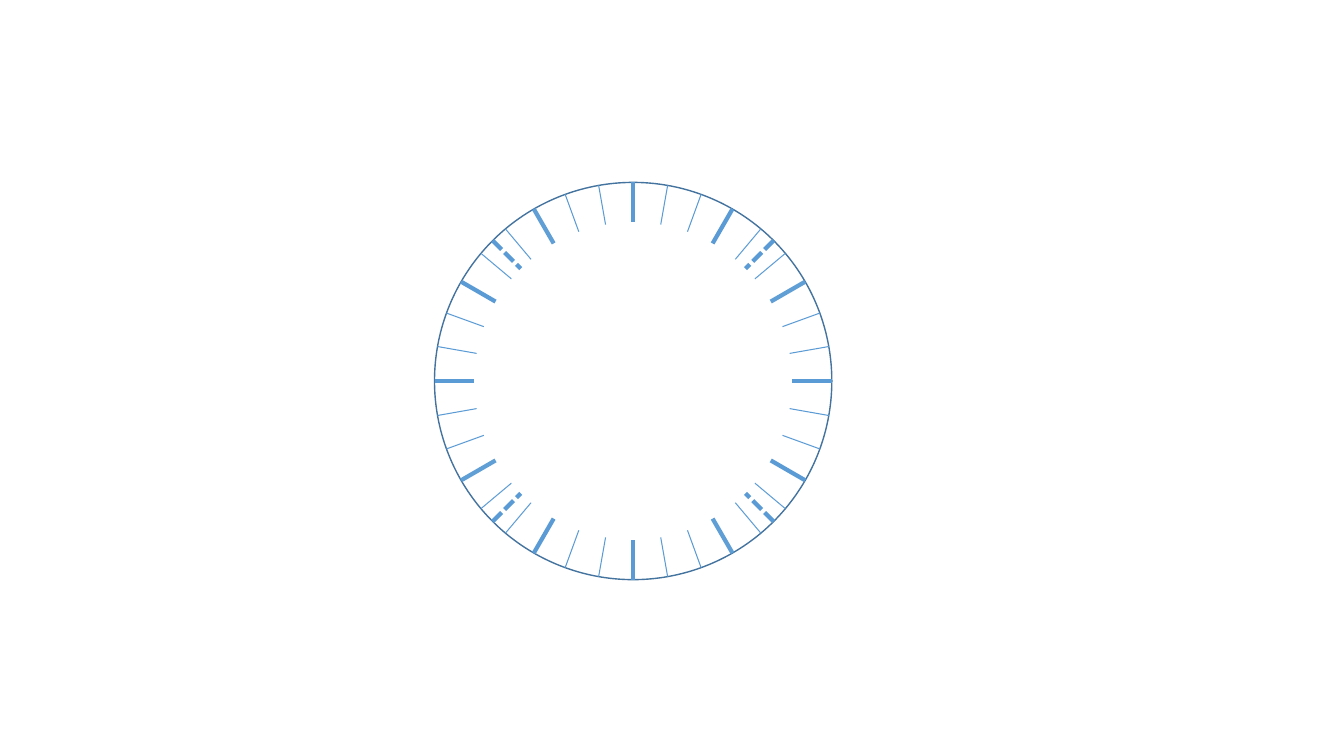
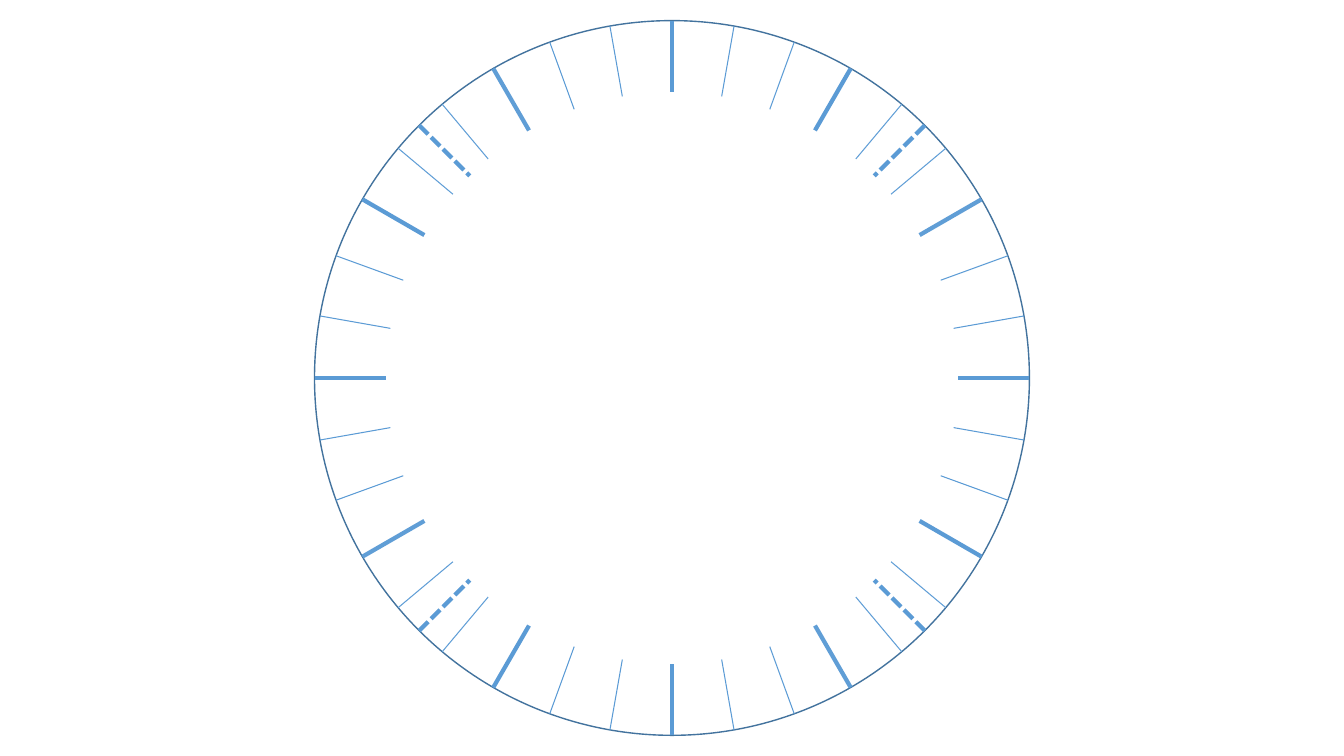
"""Two slides, each with a dial whose rim carries ticks every ten degrees."""
import math
from dataclasses import dataclass

from lxml import etree
from pptx import Presentation
from pptx import util as u
from pptx.dml.color import RGBColor
from pptx.enum import dml, shapes
from pptx.oxml import ns

SLIDE_WIDTH, SLIDE_HEIGHT = u.Inches(13.33), u.Inches(7.5)
RIM_COLOR = RGBColor(0x43, 0x73, 0x9E)
TICK_COLOR = RGBColor(0x5B, 0x9B, 0xD5)
RIM_WIDTH, THIN, THICK = 1, 0.75, 3
INNER_SHARE = 0.8
QUADRANT_ANGLES = (*range(0, 90, 10), 45)
SOFT_ANGLES = (40, 50, 60)
SOFT_OPACITY = 97


@dataclass(frozen=True)
class Dial:
    """Centre in percent of the slide's size, radius in percent of its height."""
    center_x: float
    center_y: float
    radius: float


@dataclass(frozen=True)
class Tick:
    """Clockwise angle from the top, and the look of one tick."""
    angle: int
    width: float
    dashed: bool = False
    soft: bool = False


DIALS = (Dial(47.11, 50.4, 26.27), Dial(50, 50, 47.27))
TICKS = tuple(
    Tick(quadrant + angle,
         THICK if angle % 30 == 0 or angle == 45 else THIN,
         dashed=angle == 45,
         soft=angle in SOFT_ANGLES)
    for quadrant in range(0, 360, 90)
    for angle in QUADRANT_ANGLES
)


def add_tick(group, tick: Tick, x: float, y: float, radius: float) -> None:
    """Draw one tick from the rim towards the centre."""
    angle = math.radians(tick.angle)
    across, up = radius * math.sin(angle), radius * math.cos(angle)
    connector = group.shapes.add_connector(
        shapes.MSO_CONNECTOR.STRAIGHT,
        round(x + across), round(y - up),
        round(x + INNER_SHARE * across), round(y - INNER_SHARE * up))
    line = connector.line
    line.color.rgb = TICK_COLOR
    line.width = u.Pt(tick.width)
    if tick.dashed:
        line.dash_style = dml.MSO_LINE.SQUARE_DOT
    properties = connector.element.spPr
    if tick.soft:
        color = properties.find(".//" + ns.qn("a:srgbClr"))
        etree.SubElement(color, ns.qn("a:alpha"), val=str(SOFT_OPACITY * 1000))
    etree.SubElement(properties, ns.qn("a:effectLst"))


def add_dial(slide, dial: Dial) -> None:
    """Draw the rim and all ticks as one group."""
    x = SLIDE_WIDTH * dial.center_x / 100
    y = SLIDE_HEIGHT * dial.center_y / 100
    radius = SLIDE_HEIGHT * dial.radius / 100
    group = slide.shapes.add_group_shape()
    rim = group.shapes.add_shape(
        shapes.MSO_SHAPE.OVAL, round(x - radius), round(y - radius),
        round(2 * radius), round(2 * radius))
    rim.shadow.inherit = False
    rim.fill.background()
    rim.line.color.rgb = RIM_COLOR
    rim.line.width = u.Pt(RIM_WIDTH)
    for tick in TICKS:
        add_tick(group, tick, x, y, radius)


def main() -> None:
    """Build one slide for each dial."""
    presentation = Presentation()
    presentation.slide_width = SLIDE_WIDTH
    presentation.slide_height = SLIDE_HEIGHT
    blank_layout = presentation.slide_layouts[6]
    for dial in DIALS:
        add_dial(presentation.slides.add_slide(blank_layout), dial)
    presentation.save("out.pptx")


main()
